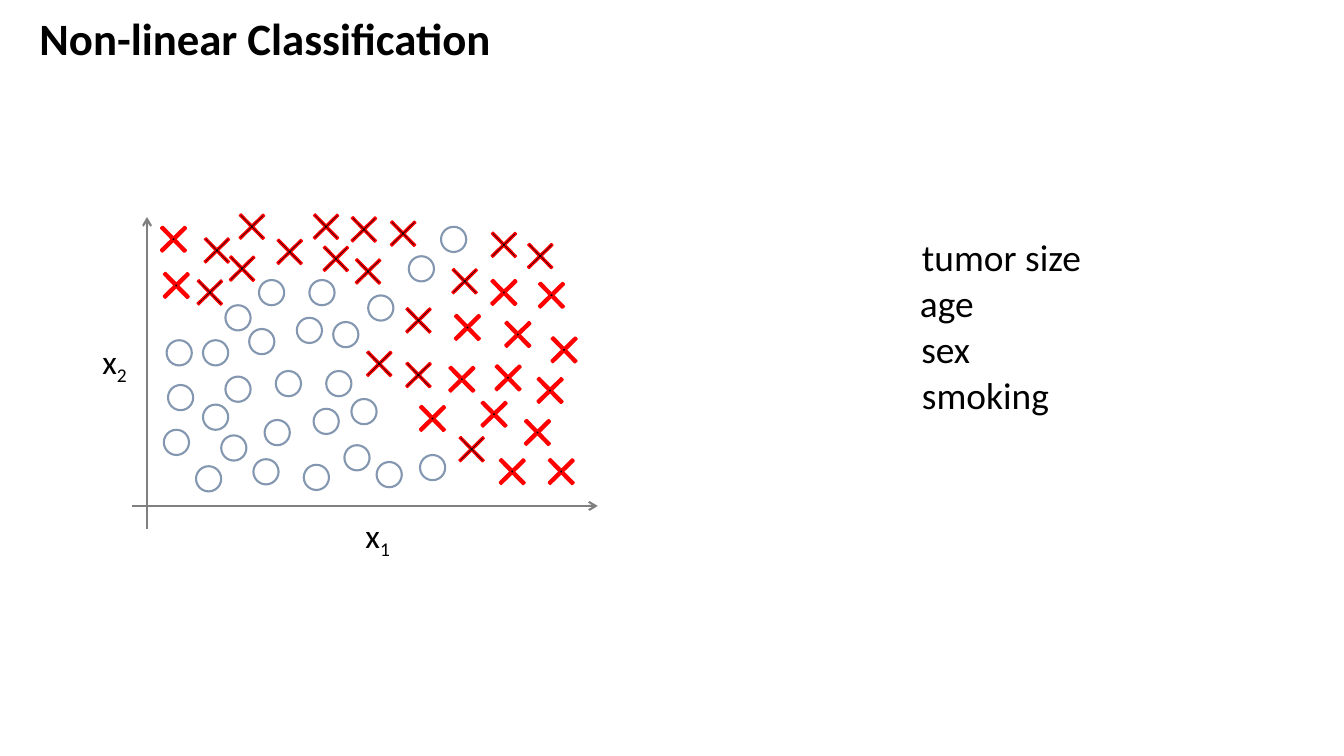
import dataclasses

import pptx
import pptx.dml.color
import pptx.enum.shapes
import pptx.enum.text
import pptx.oxml
import pptx.oxml.ns
import pptx.util

Pt = pptx.util.Pt
RGB = pptx.dml.color.RGBColor.from_string
MSO_SHAPE = pptx.enum.shapes.MSO_SHAPE


@dataclasses.dataclass(frozen=True)
class Theme:
    font: str = "Calibri"
    text: str = "000000"
    axis: str = "808080"
    circle: str = "8497B0"
    cross: str = "FF0000"
    cross_core: str = "000000"
    title_size: float = 32
    feature_size: float = 26.7
    label_size: float = 24
    line: float = 1.5
    thin_line: float = 1


THEME = Theme()
CIRCLE_SIZE = 18
CROSS_SIZE = 23.8

CIRCLES = [
    (71, 74), (99, 156), (107, 121), (127, 188), (50, 189), (156, 174), (30, 131),
    (55, 99), (134, 148), (161, 141), (68, 167), (91, 184), (143, 121), (210, 181),
    (179, 186), (29, 99), (27, 163), (71, 125), (55, 145), (88, 91), (95, 56),
    (122, 83), (148, 86), (131, 56), (225, 18), (173, 67), (202, 39),
]
BOLD_CROSSES = [
    (268, 83), (282, 153), (292, 55), (258, 53), (207, 143), (228, 115), (251, 140),
    (261, 114), (264, 181), (301, 94), (232, 78), (22, 15), (24, 48), (291, 123),
    (299, 181),
]
THIN_CROSSES = [
    (48, 53), (53, 23), (78, 6), (71, 36), (105, 24), (131, 6), (138, 29), (158, 8),
    (186, 11), (161, 38), (169, 104), (197, 73), (197, 112), (230, 45), (258, 19),
    (284, 27), (235, 165),
]
FEATURES = [("tumor size", 1.5), ("age", 0), ("sex", 1), ("smoking", 1.5)]


def format_run(r, size, bold=False):
    r.font.name = THEME.font
    r.font.size = Pt(size)
    r.font.bold = bold
    r.font.color.rgb = RGB(THEME.text)


def add_text(slide, text, x, y, w, h, size, subscript="", wrap=True):
    tf = slide.shapes.add_textbox(Pt(x), Pt(y), Pt(w), Pt(h)).text_frame
    tf.word_wrap = wrap
    tf.auto_size = pptx.enum.text.MSO_AUTO_SIZE.SHAPE_TO_FIT_TEXT
    tf.text = text
    p = tf.paragraphs[0]
    format_run(p.runs[0], size)
    if subscript:
        r = p.add_run()
        r.text = subscript
        format_run(r, size)
        r.font._element.set("baseline", "-25000")


def add_axis(slide, x1, y1, x2, y2):
    line = slide.shapes.add_connector(
        pptx.enum.shapes.MSO_CONNECTOR.STRAIGHT, Pt(x1), Pt(y1), Pt(x2), Pt(y2))
    line.line.color.rgb = RGB(THEME.axis)
    line.line.width = Pt(THEME.line)
    ln = line.line._get_or_add_ln()
    ln.append(pptx.oxml.parse_xml(
        f'<a:tailEnd {pptx.oxml.ns.nsdecls("a")} type="arrow"/>'))
    line._element.spPr.append(pptx.oxml.parse_xml(
        f'<a:effectLst {pptx.oxml.ns.nsdecls("a")}/>'))


def add_marker(slide, kind, x, y, size, color, width):
    sp = slide.shapes.add_shape(kind, Pt(x), Pt(y), Pt(size), Pt(size))
    sp.shadow.inherit = False
    sp.fill.background()
    sp.line.color.rgb = RGB(color)
    sp.line.width = Pt(width)
    return sp


def add_crosses(slide, points, x, y, width):
    for dx, dy in points:
        sp = add_marker(slide, MSO_SHAPE.CROSS, x + dx, y + dy, CROSS_SIZE,
                        THEME.cross, width)
        sp.adjustments[0] = 0.466
        sp.rotation = 45.6
        sp.fill.solid()
        sp.fill.fore_color.rgb = RGB(THEME.cross_core)


def add_title(slide, x, y, w, h):
    title = slide.shapes.title
    title.left, title.top, title.width, title.height = Pt(x), Pt(y), Pt(w), Pt(h)
    tf = title.text_frame
    tf.auto_size = pptx.enum.text.MSO_AUTO_SIZE.SHAPE_TO_FIT_TEXT
    tf.vertical_anchor = pptx.enum.text.MSO_ANCHOR.TOP
    tf.text = "Non-linear Classification"
    p = tf.paragraphs[0]
    p.alignment = pptx.enum.text.PP_ALIGN.LEFT
    format_run(p.runs[0], THEME.title_size, bold=True)


def add_scatter(slide, x, y, w, h):
    add_axis(slide, x + 15, y + h, x + 15, y + 11)
    add_axis(slide, x + 4, y + h - 16.6, x + w, y + h - 16.6)
    add_text(slide, "x", x + 164, y + h - 14, 33, 36, THEME.label_size, "1", wrap=False)
    add_text(slide, "x", x - 24, y + 96, 33, 36, THEME.label_size, "2", wrap=False)
    for dx, dy in CIRCLES:
        add_marker(slide, MSO_SHAPE.OVAL, x + dx, y + dy, CIRCLE_SIZE,
                   THEME.circle, THEME.line)
    add_crosses(slide, BOLD_CROSSES, x, y, THEME.line)
    add_crosses(slide, THIN_CROSSES, x, y, THEME.thin_line)


def add_features(slide, x, y, w, h):
    pitch = h / len(FEATURES)
    for i, (name, indent) in enumerate(FEATURES):
        add_text(slide, name, x + indent, y + i * pitch, w, 39.6, THEME.feature_size)


def main():
    prs = pptx.Presentation()
    prs.slide_width, prs.slide_height = Pt(960), Pt(540)
    slide = prs.slides.add_slide(prs.slide_layouts[5])
    add_title(slide, 21, 4.3, 912, 46)
    add_scatter(slide, 90, 144, 337, 234)
    add_features(slide, 650, 164, 185, 130.8)
    prs.save("out.pptx")


if __name__ == "__main__":
    main()
